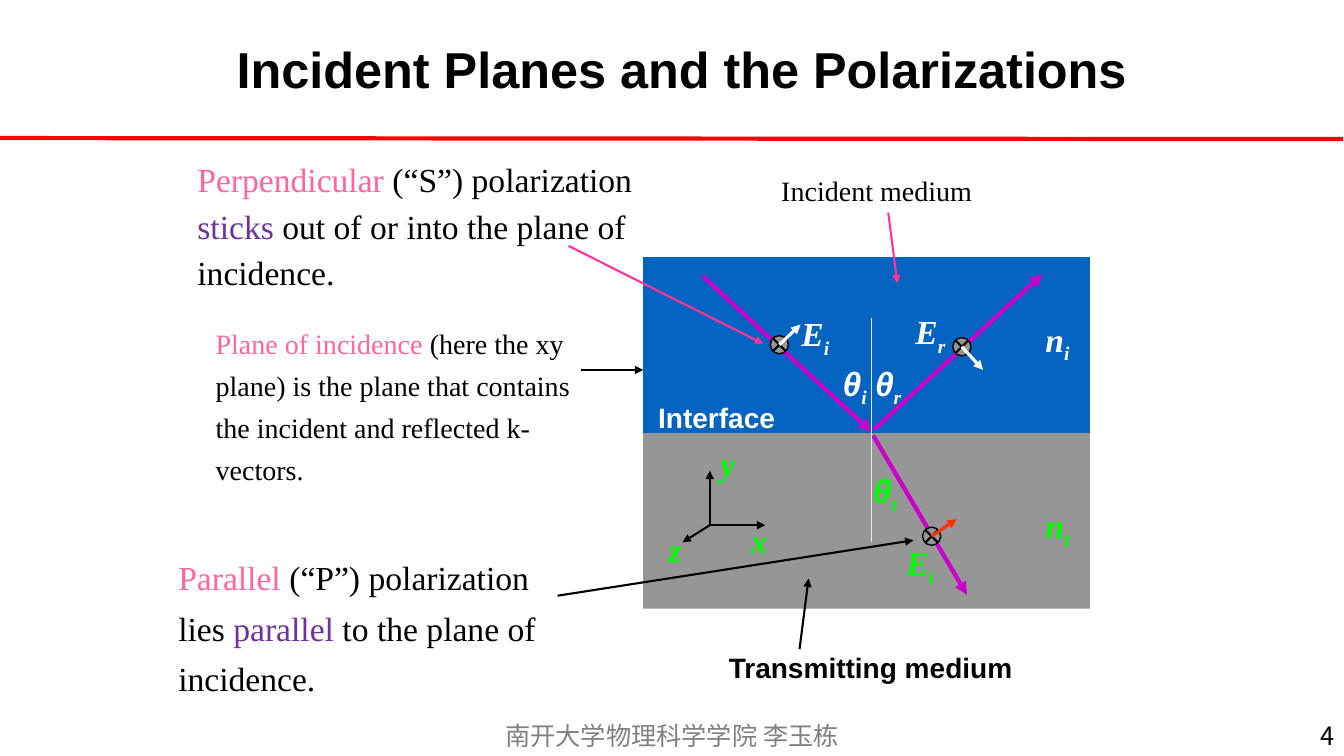
from dataclasses import dataclass

from lxml.etree import SubElement
from pptx import Presentation
from pptx.dml.color import RGBColor
from pptx.enum.shapes import MSO_CONNECTOR as Connector, MSO_SHAPE as Preset
from pptx.enum.text import MSO_ANCHOR as Anchor, MSO_AUTO_SIZE as AutoSize, PP_ALIGN as Align
from pptx.oxml.ns import qn
from pptx.util import Inches, Pt


@dataclass(frozen=True)
class Theme:
    black: str = "000000"
    white: str = "FFFFFF"
    footer: str = "808080"
    red: str = "FF0000"
    pink: str = "FF6699"
    purple: str = "7030A0"
    callout: str = "FF3399"
    beam: str = "CC00CC"
    normal: str = "E7E6E6"
    transmitted_field: str = "FF3300"
    green: str = "00FF00"
    incident_medium: str = "0563C1"
    transmitting_medium: str = "969696"
    sans: str = "Arial"
    serif: str = "Times New Roman"
    chinese: str = "Noto Sans CJK SC"
    title_size: int = 36
    symbol_size: int = 24
    label_size: int = 20
    footer_size: int = 18


@dataclass(frozen=True)
class Box:
    left: float
    top: float
    width: float
    height: float

    def point(self, x, y):
        return self.left + x, self.top + y

    def inner(self, x, y, width, height):
        return Box(self.left + x, self.top + y, width, height)

    def lengths(self):
        return [Inches(value) for value in (self.left, self.top, self.width, self.height)]


THEME = Theme()


def style_run(run, font, size, color, bold=False, italic=False):
    run.font.name = font
    run.font.size = Pt(size)
    run.font.bold = bold
    run.font.italic = italic
    run.font.color.rgb = RGBColor.from_string(color)
    if font == THEME.chinese:
        SubElement(run._r.get_or_add_rPr(), qn("a:ea")).set("typeface", font)


def add_text(slide, box, parts, font, size, wrap=False, spacing=None,
             align=None, anchor=Anchor.TOP, bold=False, italic=False):
    frame = slide.shapes.add_textbox(*box.lengths()).text_frame
    frame.word_wrap = wrap
    frame.auto_size = AutoSize.NONE if wrap else AutoSize.SHAPE_TO_FIT_TEXT
    frame.vertical_anchor = anchor
    paragraph = frame.paragraphs[0]
    paragraph.alignment = align
    paragraph.line_spacing = spacing
    for text, color in parts:
        run = paragraph.add_run()
        run.text = text
        style_run(run, font, size, color, bold, italic)
    return paragraph


def add_symbol(slide, box, letter, subscript, color):
    font = THEME.sans if letter == "θ" else THEME.serif
    paragraph = add_text(slide, box, [(letter, color)], font,
                         THEME.symbol_size, bold=True, italic=True)
    if subscript:
        run = paragraph.add_run()
        run.text = subscript
        style_run(run, THEME.serif, THEME.symbol_size, color, bold=True, italic=True)
        run._r.get_or_add_rPr().set("baseline", "-25000")


def add_line(slide, start, end, color, width, arrow=True):
    connector = slide.shapes.add_connector(
        Connector.STRAIGHT, *[Inches(value) for value in (*start, *end)])
    connector.line.color.rgb = RGBColor.from_string(color)
    connector.line.width = Pt(width)
    if arrow:
        SubElement(connector.line._get_or_add_ln(), qn("a:tailEnd")).set("type", "triangle")
    SubElement(connector._element.spPr, qn("a:effectLst"))


def add_filled(slide, preset, box, fill, outline=None):
    shape = slide.shapes.add_shape(preset, *box.lengths())
    shape.shadow.inherit = False
    shape.fill.solid()
    shape.fill.fore_color.rgb = RGBColor.from_string(fill)
    if outline:
        shape.line.color.rgb = RGBColor.from_string(outline)
        shape.line.width = Pt(1)
    else:
        shape.line.fill.background()


def build_header(slide, box):
    add_text(slide, box.inner(2.25, 0.05, 9.34, 1.25),
             [("Incident Planes and the Polarizations", THEME.black)],
             THEME.sans, THEME.title_size, wrap=True, anchor=Anchor.MIDDLE, bold=True)
    add_line(slide, box.point(-0.02, 1.37), box.point(13.32, 1.38), THEME.red, 3, arrow=False)


def build_explanations(slide, box):
    add_text(slide, box.inner(0.19, 0, 4.73, 1.5),
             [("Perpendicular", THEME.pink), (" (“S”) polarization ", THEME.black),
              ("sticks", THEME.purple),
              (" out of or into the plane of incidence.", THEME.black)],
             THEME.serif, THEME.symbol_size, wrap=True, spacing=1.15)
    add_text(slide, box.inner(0.37, 1.64, 3.81, 1.74),
             [("Plane of incidence", THEME.pink),
              (" (here the xy plane) is the plane that contains "
               "the incident and reflected k-vectors.", THEME.black)],
             THEME.serif, THEME.label_size, wrap=True, spacing=1.25)
    add_text(slide, box.inner(0, 3.91, 3.77, 1.57),
             [("Parallel ", THEME.pink), ("(“P”) polarization lies ", THEME.black),
              ("parallel ", THEME.purple), ("to the plane of incidence.", THEME.black)],
             THEME.serif, THEME.symbol_size, wrap=True, spacing=1.25)


def build_axes(slide, box):
    origin = box.point(0.51, 0.87)
    for letter, tip, label in (("y", (0.51, 0.33), (0.52, 0)),
                               ("z", (0.24, 1.04), (0, 0.86)),
                               ("x", (1.06, 0.87), (0.82, 0.77))):
        add_line(slide, origin, box.point(*tip), THEME.black, 1.5)
        add_symbol(slide, box.inner(*label, 0.37, 0.5), letter, "", THEME.green)


def build_field(slide, box, shift, color):
    radius, reach = box.width / 2, 0.065
    add_filled(slide, Preset.OVAL, box, THEME.transmitting_medium, THEME.black)
    for side in (-1, 1):
        add_line(slide, box.point(radius - reach, radius - side * reach),
                 box.point(radius + reach, radius + side * reach),
                 THEME.black, 1.5, arrow=False)
    add_line(slide, box.point(radius, radius),
             box.point(radius + shift[0], radius + shift[1]), color, 2.25)


def build_diagram(slide, box):
    half = box.height / 2
    for top, fill in ((half, THEME.transmitting_medium), (0, THEME.incident_medium)):
        add_filled(slide, Preset.RECTANGLE, box.inner(0, top, box.width, half), fill)
    for start, end in (((0.59, 0.19), (2.26, 1.73)),
                       ((2.29, 1.71), (3.96, 0.17)),
                       ((2.28, 1.77), (3.21, 3.35))):
        add_line(slide, box.point(*start), box.point(*end), THEME.beam, 3)
    add_line(slide, box.point(2.26, 0.6), box.point(2.26, 2.83), THEME.normal, 0.75, arrow=False)
    for letter, subscript, left, top in (("n", "i", 3.89, 0.56), ("n", "t", 3.89, 2.41),
                                         ("θ", "i", 1.88, 1), ("θ", "r", 2.2, 1),
                                         ("θ", "t", 2.18, 2.06), ("E", "i", 1.47, 0.51),
                                         ("E", "r", 2.6, 0.49), ("E", "t", 2.51, 2.78)):
        color = THEME.green if subscript == "t" else THEME.white
        add_symbol(slide, box.inner(left, top, 0.55, 0.5), letter, subscript, color)
    add_text(slide, box.inner(0.05, 1.37, 1.36, 0.43), [("Interface", THEME.white)],
             THEME.sans, THEME.label_size, bold=True)
    build_axes(slide, box.inner(0.15, 1.79, 1.19, 1.36))
    for left, top, shift, color in ((1.26, 0.78, (0.21, -0.2), THEME.white),
                                    (2.77, 2.68, (0.25, -0.17), THEME.transmitted_field),
                                    (3.07, 0.8, (0.21, 0.23), THEME.white)):
        build_field(slide, box.inner(left, top, 0.18, 0.18), shift, color)


def build_callouts(slide, box):
    add_text(slide, box.inner(1.27, -0.88, 2.11, 0.44), [("Incident medium", THEME.black)],
             THEME.serif, THEME.label_size)
    add_text(slide, box.inner(0.75, 3.85, 3.02, 0.43), [("Transmitting medium", THEME.black)],
             THEME.sans, THEME.label_size, bold=True)
    for start, end, color in (((-0.62, 1.12), (0, 1.12), THEME.black),
                              ((2.43, -0.44), (2.52, 0.26), THEME.callout),
                              ((1.55, 3.89), (1.64, 3.19), THEME.black),
                              ((-0.74, -0.11), (1.19, 0.86), THEME.callout),
                              ((-0.85, 3.36), (2.68, 2.81), THEME.black)):
        add_line(slide, box.point(*start), box.point(*end), color, 1.5)


def build_footer(slide, box):
    add_text(slide, box.inner(4.86, 0, 3.61, box.height),
             [("南开大学物理科学学院 李玉栋", THEME.footer)],
             THEME.chinese, THEME.footer_size, align=Align.CENTER)
    add_text(slide, box.inner(10.33, 0, 3, box.height), [("4", THEME.black)],
             THEME.chinese, THEME.footer_size, wrap=True, align=Align.RIGHT)


def main():
    presentation = Presentation()
    presentation.slide_width = Inches(13.33)
    presentation.slide_height = Inches(7.5)
    slide = presentation.slides.add_slide(presentation.slide_layouts[6])
    diagram = Box(6.38, 2.55, 4.43, 3.49)
    build_header(slide, Box(0, 0, 13.33, 1.38))
    build_explanations(slide, Box(1.67, 1.47, 4.92, 5.48))
    build_diagram(slide, diagram)
    build_callouts(slide, diagram)
    build_footer(slide, Box(0, 7.1, 13.33, 0.4))
    presentation.save("out.pptx")


if __name__ == "__main__":
    main()
